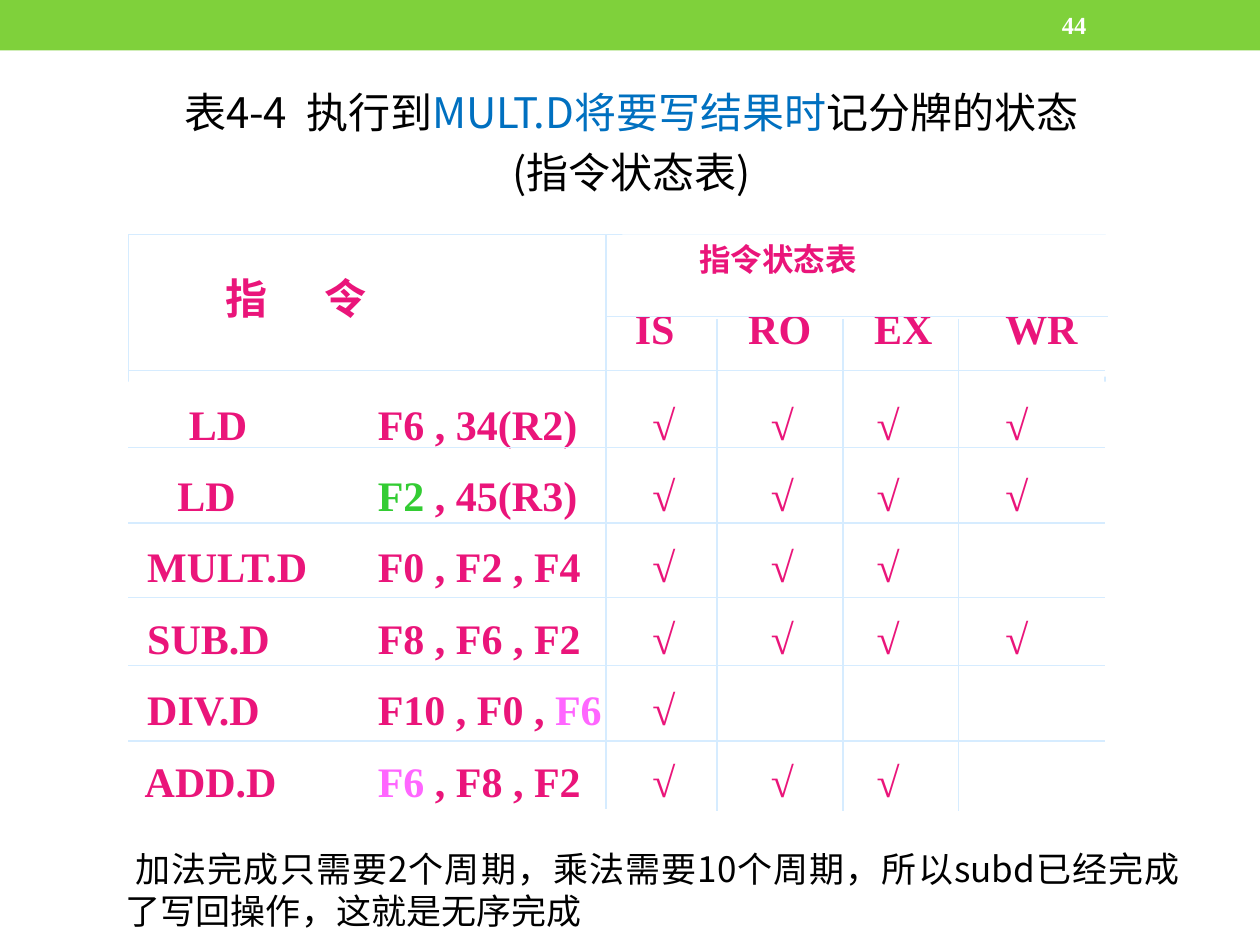
from pptx import Presentation
from pptx.dml.color import RGBColor
from pptx.enum.shapes import MSO_CONNECTOR, MSO_SHAPE
from pptx.enum.text import MSO_ANCHOR, PP_ALIGN
from pptx.oxml.ns import qn
from pptx.util import Inches, Pt
from lxml.etree import SubElement

WHITE = RGBColor(0xFF, 0xFF, 0xFF)
BLACK = RGBColor(0, 0, 0)
BAND_GREEN = RGBColor(0x7F, 0xD1, 0x3B)
GRID_BLUE = RGBColor(0xD6, 0xEC, 0xFF)
TITLE_BLUE = RGBColor(0x00, 0x70, 0xC0)
PINK = RGBColor(0xEA, 0x15, 0x7A)
GREEN = RGBColor(0x33, 0xCC, 0x33)
VIOLET = RGBColor(0xFF, 0x66, 0xFF)
SANS, SERIF = "Noto Sans CJK SC", "Times New Roman"

TITLE = [
    [("表4-4  执行到", BLACK), ("MULT.D将要写结果时", TITLE_BLUE), ("记分牌的状态", BLACK)],
    [("(指令状态表)", BLACK)],
]
STAGES = ["IS", "RO", "EX", "WR"]
STAGE_STOPS = [0.9, 1.9, 2.94]
# indent of the operation, operation, operand pieces, number of stages done
INSTRUCTIONS = [
    (0.5, "LD", [("F6 , 34(R2)", PINK)], 4),
    (0.41, "LD", [("F2", GREEN), (" , 45(R3)", PINK)], 4),
    (0.17, "MULT.D", [("F0 , F2 , F4", PINK)], 3),
    (0.17, "SUB.D", [("F8 , F6 , F2", PINK)], 4),
    (0.17, "DIV.D", [("F10 , F0 , ", PINK), ("F6", VIOLET)], 1),
    (0.15, "ADD.D", [("F6", VIOLET), (" , F8 , F2", PINK)], 3),
]
OPERAND_STOP = 2.0
CHECK_STOPS = [4.18, 5.12, 5.96, 6.98]
NOTE = " 加法完成只需要2个周期，乘法需要10个周期，所以subd已经完成了写回操作，这就是无序完成"

GRID_LEFT, GRID_TOP, GRID_RIGHT, GRID_BOTTOM = 1.02, 1.86, 8.77, 6.44
ROW_LINES = [2.94, 3.55, 4.15, 4.74, 5.28, 5.88]
INSTRUCTION_EDGE, HEADER_LINE = 4.81, 2.51
STAGE_LINES = [5.69, 6.69, 7.61]


def add_box(page, place, fill=None, line=None):
    box = page.shapes.add_shape(MSO_SHAPE.RECTANGLE, *map(Inches, place))
    box.shadow.inherit = False
    if fill is None:
        box.fill.background()
    else:
        box.fill.solid()
        box.fill.fore_color.rgb = fill
    if line is None:
        box.line.fill.background()
    else:
        box.line.color.rgb = line
        box.line.width = Pt(0.75)
    box.text_frame.word_wrap = True
    box.text_frame.vertical_anchor = MSO_ANCHOR.TOP
    return box


def add_para(frame, pieces, size, font, bold=False, align=PP_ALIGN.LEFT,
             spacing=None, before=0, stops=()):
    """Fill the first paragraph if it is empty, else append one."""
    last = frame.paragraphs[-1]
    para = frame.add_paragraph() if last.runs else last
    para.alignment = align
    para.space_before = Pt(before)
    if spacing:
        para.line_spacing = spacing
    if stops:
        tabs = SubElement(para._p.get_or_add_pPr(), qn("a:tabLst"))
        for stop in stops:
            SubElement(tabs, qn("a:tab"), pos=str(Inches(stop)), algn="l")
    for text, color in pieces:
        span = para.add_run()
        span.text = text
        span.font.size = Pt(size)
        span.font.bold = bold
        span.font.name = font
        span.font.color.rgb = color
        SubElement(span._r.get_or_add_rPr(), qn("a:ea"), typeface=font)


def add_grid_line(page, x1, y1, x2, y2):
    line = page.shapes.add_connector(MSO_CONNECTOR.STRAIGHT, *map(Inches, (x1, y1, x2, y2)))
    line.line.color.rgb = GRID_BLUE
    line.line.width = Pt(0.75)
    SubElement(line._element.spPr, qn("a:effectLst"))


def add_text(page, place, anchor=MSO_ANCHOR.TOP, wrap=True):
    frame = page.shapes.add_textbox(*map(Inches, place)).text_frame
    frame.word_wrap = wrap
    frame.vertical_anchor = anchor
    return frame


def add_table_text(page):
    heading = add_box(page, (1.69, 2.11, 2.5, 0.53), WHITE).text_frame
    add_para(heading, [("指\t令", PINK)], 24, SANS, bold=True, stops=[0.79])

    states = add_box(page, (4.94, 1.86, 4.17, 1.13), WHITE).text_frame
    add_para(states, [("\t指令状态表", PINK)], 18, SANS, bold=True, stops=[0.51])
    add_para(states, [("\t".join(STAGES), PINK)], 24, SERIF, bold=True,
             before=14, stops=STAGE_STOPS)

    body = add_box(page, (0.9, 3.03, 8.08, 4.07), WHITE).text_frame
    for indent, operation, operands, done in INSTRUCTIONS:
        pieces = [(f"\t{operation}\t", PINK), *operands, ("\t√" * done, PINK)]
        add_para(body, pieces, 24, SERIF, bold=True, spacing=1.2, before=6.3,
                 stops=[indent, OPERAND_STOP, *CHECK_STOPS])


def add_grid(page):
    for y in ROW_LINES:
        add_grid_line(page, GRID_LEFT, y, GRID_RIGHT, y)
    add_grid_line(page, INSTRUCTION_EDGE, GRID_TOP, INSTRUCTION_EDGE, GRID_BOTTOM - 0.02)
    add_grid_line(page, INSTRUCTION_EDGE, HEADER_LINE, GRID_RIGHT + 0.02, HEADER_LINE)
    for x in STAGE_LINES:
        add_grid_line(page, x, HEADER_LINE + 0.02, x, GRID_BOTTOM)


def main():
    deck = Presentation()
    deck.slide_width, deck.slide_height = Inches(10), Inches(7.5)
    page = deck.slides.add_slide(deck.slide_layouts[6])

    add_box(page, (0, 0, 10, 0.4), BAND_GREEN)
    number = add_text(page, (8.33, 0.02, 1.17, 0.36), MSO_ANCHOR.MIDDLE)
    add_para(number, [("44", WHITE)], 14, SERIF, bold=True)

    title = add_text(page, (1.15, 0.57, 7.72, 1.03), MSO_ANCHOR.MIDDLE, wrap=False)
    for pieces in TITLE:
        add_para(title, pieces, 24, SANS, align=PP_ALIGN.CENTER, spacing=1.2)

    add_box(page, (GRID_LEFT, GRID_TOP, GRID_RIGHT - GRID_LEFT, GRID_BOTTOM - GRID_TOP),
            WHITE, GRID_BLUE)
    add_table_text(page)
    add_grid(page)

    note = add_text(page, (0.9, 6.68, 8.56, 0.77))
    add_para(note, [(NOTE, BLACK)], 20, SANS, align=PP_ALIGN.JUSTIFY)
    deck.save("out.pptx")


if __name__ == "__main__":
    main()
